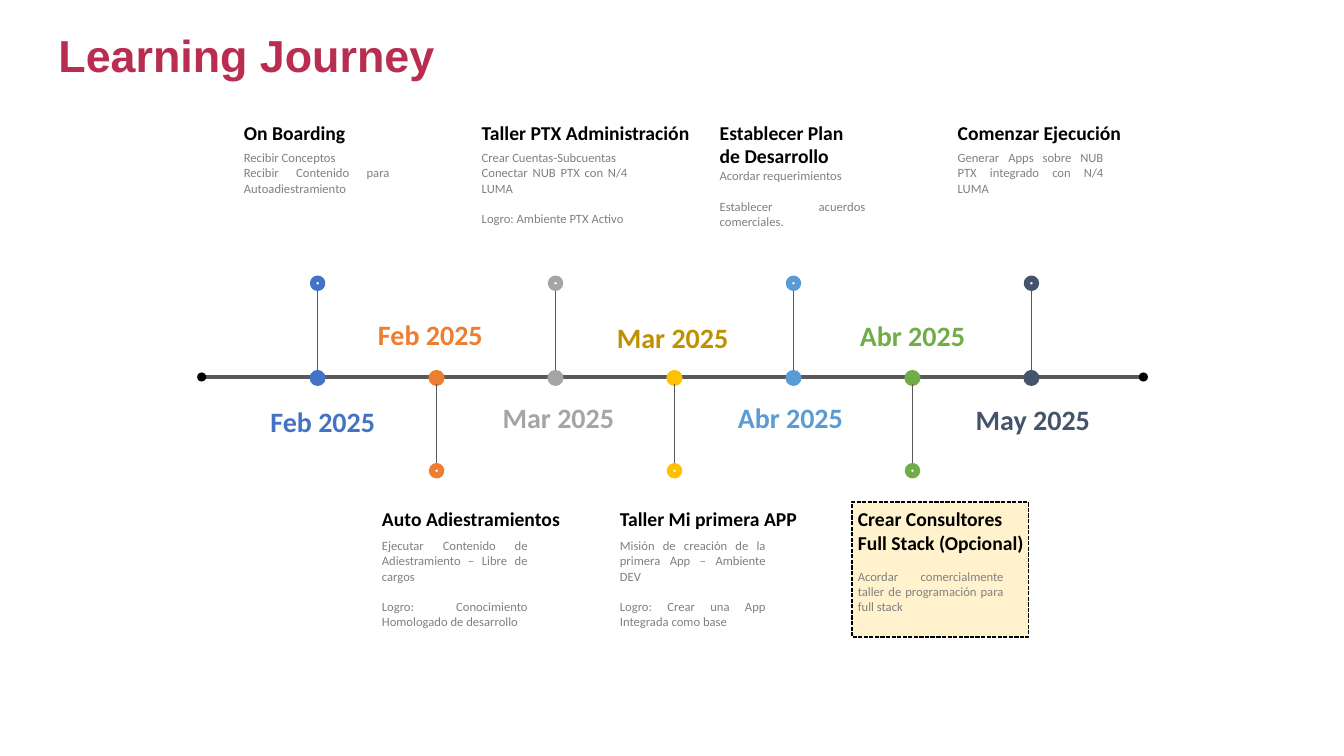
"""Builds the Learning Journey timeline slide."""
from lxml import etree
from pptx import Presentation
from pptx.dml.color import RGBColor
from pptx.enum.dml import MSO_LINE
from pptx.enum.shapes import MSO_CONNECTOR, MSO_SHAPE
from pptx.enum.text import MSO_ANCHOR, PP_ALIGN
from pptx.oxml.ns import qn
from pptx.util import Inches, Pt

OVAL, RECTANGLE = MSO_SHAPE.OVAL, MSO_SHAPE.RECTANGLE
STRAIGHT = MSO_CONNECTOR.STRAIGHT
LEFT, RIGHT, JUSTIFY = PP_ALIGN.LEFT, PP_ALIGN.RIGHT, PP_ALIGN.JUSTIFY
MIDDLE, DASH = MSO_ANCHOR.MIDDLE, MSO_LINE.SQUARE_DOT

COLORS = {
    "title": "B82D50", "heading": "000000", "detail": "808080",
    "axis": "595959", "end": "000000", "ring": "FFFFFF", "highlight": "FFF2CC",
    "blue": "4472C4", "orange": "ED7D31", "gray": "A5A5A5", "yellow": "FFC000",
    "gold": "BF9000", "sky": "5B9BD5", "green": "70AD47", "navy": "44546A",
}

TITLE = "Learning Journey"
# Milestones alternate above and below the axis, starting above.
MILESTONES = [
    {"color": "blue", "date": "Feb 2025", "date_box": (2.57, 3.96, 1.25),
     "heading": ["On Boarding"], "heading_width": 1.22,
     "details": [["Recibir Conceptos", "Recibir Contenido para Autoadiestramiento"]],
     "detail_gap": 0.29, "detail_height": 0.56},
    {"color": "orange", "date": "Feb 2025", "date_box": (3.65, 3.1, 1.25),
     "heading": ["Auto Adiestramientos"], "heading_width": 2.01,
     "details": [["Ejecutar Contenido de Adiestramiento – Libre de cargos"],
                 ["Logro: Conocimiento Homologado de desarrollo"]],
     "detail_gap": 0.31, "detail_height": 1.01},
    {"color": "gray", "date": "Mar 2025", "date_box": (4.87, 3.92, 1.32),
     "heading": ["Taller PTX Administración"], "heading_width": 2.3,
     "details": [["Crear Cuentas-Subcuentas", "Conectar NUB PTX con N/4 LUMA"],
                 ["Logro: Ambiente PTX Activo"]],
     "detail_gap": 0.29, "detail_height": 0.86},
    {"color": "yellow", "date_color": "gold", "date": "Mar 2025",
     "date_box": (6.02, 3.13, 1.32),
     "heading": ["Taller Mi primera APP"], "heading_width": 2.02,
     "details": [["Misión de creación de la primera App – Ambiente DEV"],
                 ["Logro: Crear una App Integrada como base"]],
     "detail_gap": 0.31, "detail_height": 1.01},
    {"color": "sky", "date": "Abr 2025", "date_box": (7.21, 3.92, 1.25),
     "heading": ["Establecer Plan", "de Desarrollo"], "heading_width": 1.54,
     "details": [["Acordar requerimientos"], ["Establecer acuerdos comerciales."]],
     "detail_gap": 0.47, "detail_height": 0.71},
    {"color": "green", "date": "Abr 2025", "date_box": (8.43, 3.11, 1.25),
     "heading": ["Crear Consultores", "Full Stack (Opcional)"], "heading_width": 1.9,
     "details": [["Acordar comercialmente taller de programación para full stack"]],
     "detail_gap": 0.61, "detail_height": 0.56},
    {"color": "navy", "date": "May 2025", "date_box": (9.56, 3.94, 1.35),
     "heading": ["Comenzar Ejecución"], "heading_width": 1.88,
     "details": [["Generar Apps sobre NUB PTX integrado con N/4 LUMA"]],
     "detail_gap": 0.29, "detail_height": 0.56},
]

AXIS_Y, AXIS_LEFT, AXIS_RIGHT = 3.74, 2.0, 11.34
FIRST_X, STEP = 3.15, 1.18
SMALL_DOT, DOT = 0.09, 0.16
STEM_START, STEM_END, RING_OFFSET = 0.07, 0.89, 0.93
DETAIL_WIDTH, BLANK_LINE = 1.64, 11


def rgb(name):
    return RGBColor.from_string(COLORS[name])


def style(paragraph, size, color, bold, align, font="Calibri"):
    paragraph.alignment = align
    paragraph.font.name = font
    paragraph.font.size = Pt(size)
    paragraph.font.bold = bold
    paragraph.font.color.rgb = rgb(color)


def add_text(slide, box, groups, size, color, bold=False, align=LEFT, wrap=False):
    frame = slide.shapes.add_textbox(*map(Inches, box)).text_frame
    frame.word_wrap = wrap
    lines = [(line, group > 0 and row == 0)
             for group, rows in enumerate(groups) for row, line in enumerate(rows)]
    for number, (line, spaced) in enumerate(lines):
        paragraph = frame.add_paragraph() if number else frame.paragraphs[0]
        paragraph.text = line
        style(paragraph, size, color, bold, align)
        if spaced:
            paragraph.space_before = Pt(BLANK_LINE)


def add_filled(slide, kind, box, fill, outline=None, weight=0):
    shape = slide.shapes.add_shape(kind, *map(Inches, box))
    shape.shadow.inherit = False
    shape.fill.solid()
    shape.fill.fore_color.rgb = rgb(fill)
    if outline:
        shape.line.color.rgb = rgb(outline)
        shape.line.width = Pt(weight)
    else:
        shape.line.fill.background()
    return shape


def add_dot(slide, x, y, size, fill, outline=None, weight=0):
    box = (x - size / 2, y - size / 2, size, size)
    add_filled(slide, OVAL, box, fill, outline, weight)


def add_line(slide, start, end, weight):
    line = slide.shapes.add_connector(STRAIGHT, *map(Inches, start + end))
    line.line.color.rgb = rgb("axis")
    line.line.width = Pt(weight)
    etree.SubElement(line._element.spPr, qn("a:effectLst"))


def add_milestone(slide, index, item):
    x = FIRST_X + index * STEP
    above = index % 2 == 0
    side = -1 if above else 1
    text_left = x - (0.83 if above else 0.64)
    text_top = 1.15 if above else 4.98

    add_dot(slide, x, AXIS_Y + 0.01, DOT, item["color"])
    add_line(slide, (x, AXIS_Y + side * STEM_START), (x, AXIS_Y + side * STEM_END), 1)
    add_dot(slide, x, AXIS_Y + side * RING_OFFSET, SMALL_DOT, "ring", item["color"], 4.5)

    detail_box = (text_left, text_top + item["detail_gap"], DETAIL_WIDTH, item["detail_height"])
    add_text(slide, detail_box, item["details"], 9, "detail", align=JUSTIFY, wrap=True)
    heading_height = 0.11 + 0.23 * len(item["heading"])
    add_text(slide, (text_left, text_top, item["heading_width"], heading_height),
             [item["heading"]], 14, "heading", bold=True)
    add_text(slide, item["date_box"] + (0.44,), [[item["date"]]], 20,
             item.get("date_color", item["color"]), bold=True, align=RIGHT if above else LEFT)


def add_title(slide):
    title = slide.shapes.title
    title.left, title.top, title.width, title.height = map(Inches, (0.48, 0.19, 5.98, 0.78))
    title.text_frame.text = TITLE
    title.text_frame.vertical_anchor = MIDDLE
    paragraph = title.text_frame.paragraphs[0]
    paragraph.line_spacing = 0.9
    style(paragraph, 32, "title", True, LEFT, "Arial")


def main():
    deck = Presentation()
    deck.slide_width, deck.slide_height = Inches(13.33), Inches(7.5)
    slide = deck.slides.add_slide(deck.slide_layouts[5])
    add_title(slide)
    highlight = add_filled(slide, RECTANGLE, (8.45, 4.98, 1.75, 1.34), "highlight", "end", 1)
    highlight.line.dash_style = DASH
    add_line(slide, (AXIS_LEFT, AXIS_Y), (AXIS_RIGHT, AXIS_Y), 2.25)
    for x in (AXIS_LEFT, AXIS_RIGHT):
        add_dot(slide, x, AXIS_Y, SMALL_DOT, "end")
    for index, item in enumerate(MILESTONES):
        add_milestone(slide, index, item)
    deck.save("out.pptx")


if __name__ == "__main__":
    main()
